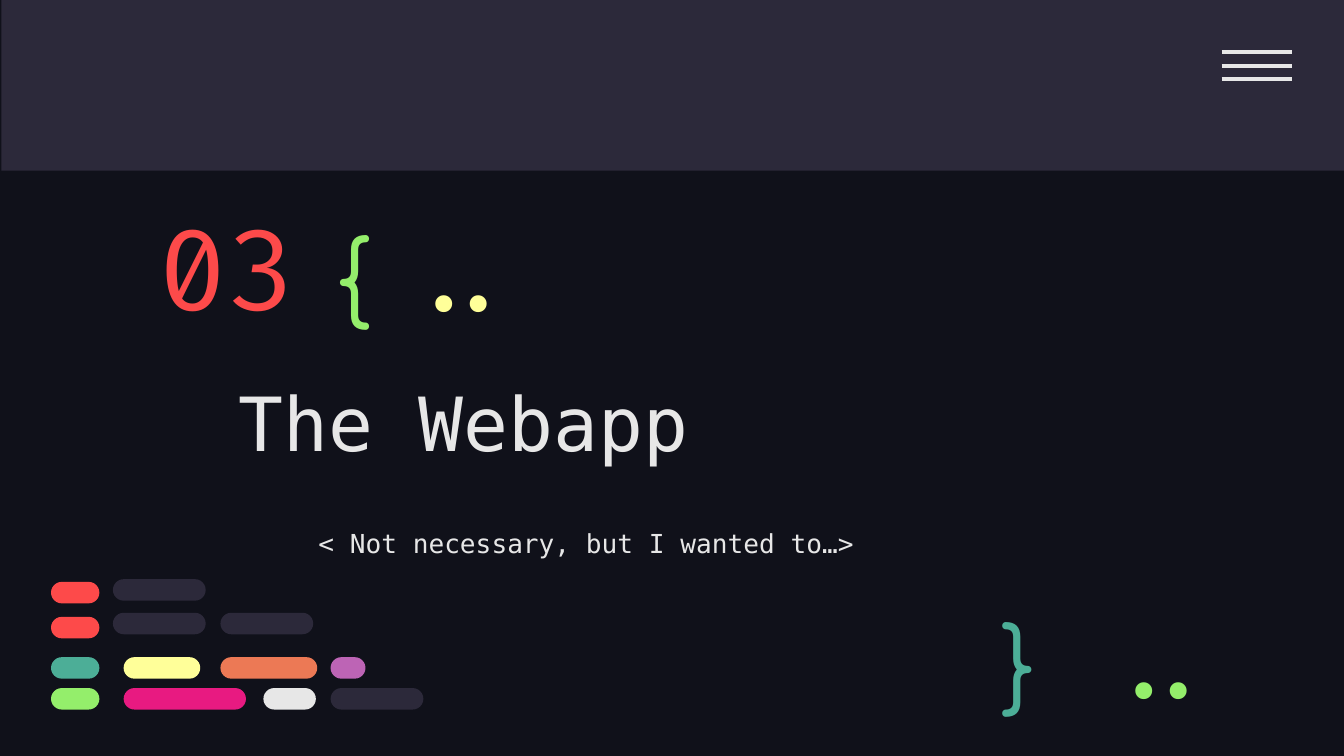
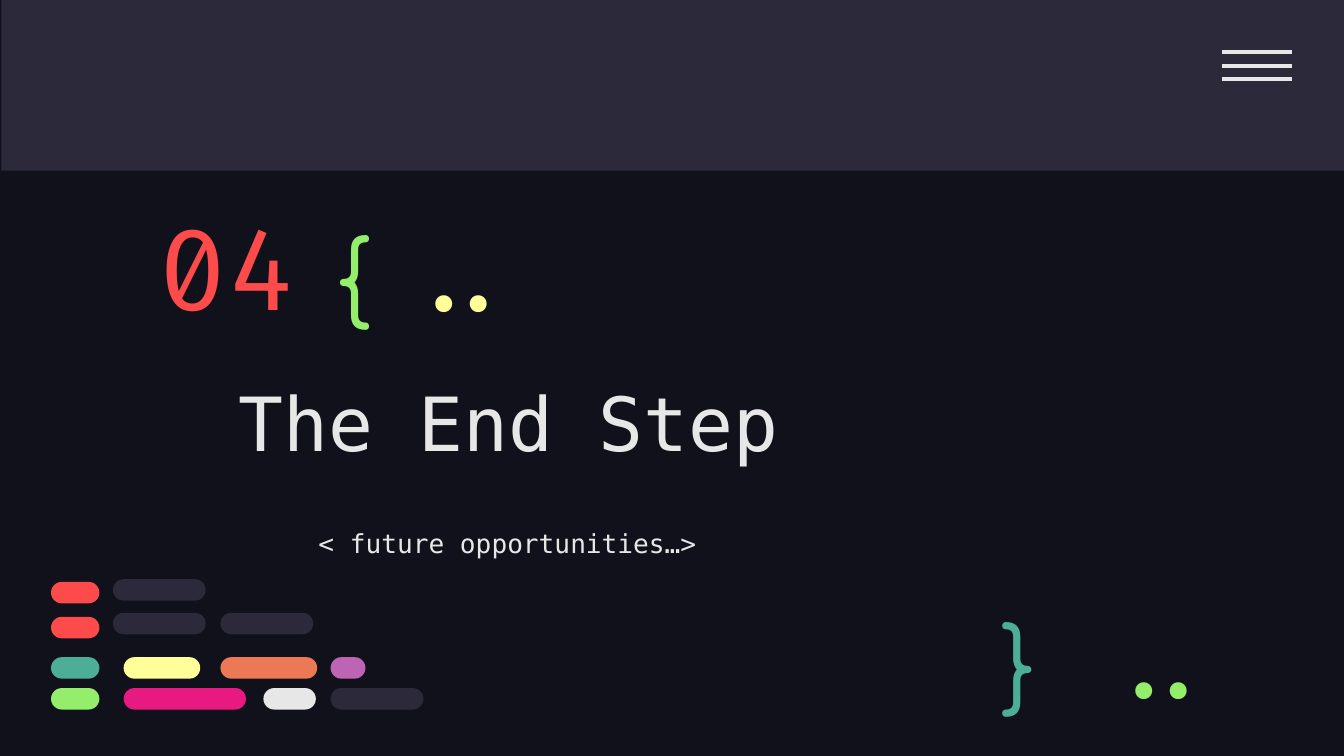
from dataclasses import dataclass

from pptx import Presentation
from pptx.dml.color import RGBColor
from pptx.enum.shapes import MSO_CONNECTOR, MSO_SHAPE
from pptx.enum.text import MSO_ANCHOR as ANCHOR, PP_ALIGN as ALIGN
from pptx.oxml.ns import qn
from pptx.util import Inches, Pt
from lxml.etree import SubElement


@dataclass(frozen=True)
class Theme:
    background: str = "10111A"
    panel: str = "2C293A"
    light: str = "E7E7E7"
    red: str = "FD4A4A"
    green: str = "94EE6B"
    teal: str = "4CAE97"
    yellow: str = "FFFF99"
    orange: str = "EC7955"
    purple: str = "BD64B5"
    pink: str = "E81A81"
    body_font: str = "DejaVu Sans Mono"
    code_font: str = "Fira Code"
    brace_font: str = "Comfortaa"
    number_size: int = 60
    symbol_size: int = 50
    title_size: int = 40
    subtitle_size: int = 14


T = Theme()

SECTIONS = [
    ("03", "The Webapp", "< Not necessary, but I wanted to…>"),
    ("04", "The End Step", "< future opportunities…>"),
]

PILL_HEIGHT = 0.16
# Each row of code pills: top, then (left, width, colour) for each pill
PILL_ROWS = [
    (4.33, [(0.38, 0.36, T.red)]),
    (4.59, [(0.38, 0.36, T.red)]),
    (4.89, [(0.38, 0.36, T.teal), (0.92, 0.57, T.yellow),
            (1.64, 0.72, T.orange), (2.46, 0.26, T.purple)]),
    (5.12, [(0.38, 0.36, T.green), (0.92, 0.91, T.pink),
            (1.96, 0.39, T.light), (2.46, 0.69, T.panel)]),
    (4.56, [(0.84, 0.69, T.panel), (1.64, 0.69, T.panel)]),
    (4.31, [(0.84, 0.69, T.panel)]),
]


def rgb(color):
    return RGBColor.from_string(color)


def add_text(s, text, left, top, width, height, *, size, color, font=T.body_font,
             anchor=ANCHOR.TOP, align=ALIGN.LEFT, line_spacing=None):
    box = s.shapes.add_textbox(Inches(left), Inches(top), Inches(width), Inches(height))
    tf = box.text_frame
    tf.word_wrap = True
    tf.vertical_anchor = anchor
    tf.margin_left = tf.margin_right = tf.margin_top = tf.margin_bottom = Inches(0.1)
    p = tf.paragraphs[0]
    p.alignment = align
    p.line_spacing = line_spacing
    r = p.add_run()
    r.text = text
    r.font.name = font
    r.font.size = Pt(size)
    r.font.color.rgb = rgb(color)


def add_filled(shapes, kind, left, top, width, height, color):
    sp = shapes.add_shape(kind, Inches(left), Inches(top), Inches(width), Inches(height))
    sp.shadow.inherit = False
    sp.fill.solid()
    sp.fill.fore_color.rgb = rgb(color)
    sp.line.fill.background()
    return sp


def add_menu_icon(s):
    group = s.shapes.add_group_shape()
    for i in range(3):
        y = Inches(0.39 + 0.1 * i)
        line = group.shapes.add_connector(
            MSO_CONNECTOR.STRAIGHT, Inches(9.09), y, Inches(9.61), y)
        line.line.color.rgb = rgb(T.light)
        line.line.width = Pt(2.25)
        SubElement(line._element.spPr, qn("a:effectLst"))


def add_code_pills(s):
    group = s.shapes.add_group_shape()
    for top, pills in PILL_ROWS:
        for left, width, color in pills:
            pill = add_filled(group.shapes, MSO_SHAPE.ROUNDED_RECTANGLE,
                              left, top, width, PILL_HEIGHT, color)
            pill.adjustments[0] = 0.5


def add_brace(s, text, left, top, width, height, color):
    add_text(s, text, left, top, width, height,
             size=T.symbol_size, color=color, font=T.brace_font)


def add_dots(s, left, top, color):
    add_text(s, "..", left, top, 1.07, 0.6, size=T.symbol_size, color=color,
             font=T.code_font, anchor=ANCHOR.MIDDLE, align=ALIGN.RIGHT)


def add_section_slide(prs, number, title, subtitle):
    s = prs.slides.add_slide(prs.slide_layouts[6])
    s.background.fill.solid()
    s.background.fill.fore_color.rgb = rgb(T.background)
    add_filled(s.shapes, MSO_SHAPE.RECTANGLE, 0.01, 0, 10, 1.27, T.panel)
    add_menu_icon(s)

    add_text(s, title, 1.68, 2.48, 7.26, 1.31, size=T.title_size,
             color=T.light, anchor=ANCHOR.MIDDLE)
    add_text(s, number, 1.08, 1.48, 1.81, 1, size=T.number_size,
             color=T.red, font=T.code_font, anchor=ANCHOR.MIDDLE)
    add_text(s, subtitle, 2.27, 3.79, 6.61, 0.31, size=T.subtitle_size,
             color=T.light, line_spacing=1.15)

    add_brace(s, "{", 2.4, 1.5, 0.77, 0.95, T.green)
    add_brace(s, "}", 7.35, 4.38, 0.57, 0.83, T.teal)
    add_dots(s, 8.1, 4.62, T.green)
    add_dots(s, 2.89, 1.74, T.yellow)
    add_code_pills(s)


def main():
    prs = Presentation()
    prs.slide_width = Inches(10)
    prs.slide_height = Inches(10 * 9 / 16)
    for section in SECTIONS:
        add_section_slide(prs, *section)
    prs.save("out.pptx")


if __name__ == "__main__":
    main()
